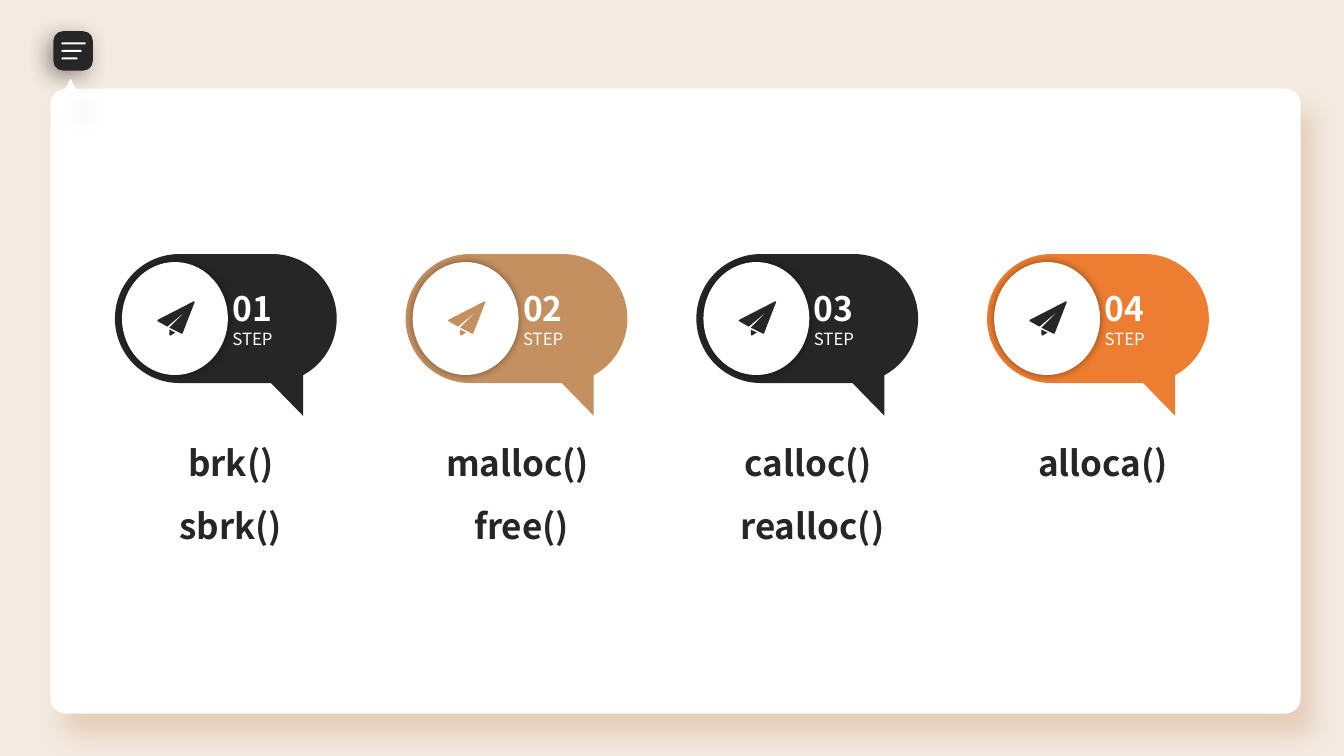
from lxml import etree
from pptx import Presentation
from pptx.dml.color import RGBColor
from pptx.enum.shapes import MSO_SHAPE
from pptx.enum.text import MSO_ANCHOR, PP_ALIGN
from pptx.oxml.ns import qn
from pptx.util import Inches, Pt

ROUNDED, OVAL = MSO_SHAPE.ROUNDED_RECTANGLE, MSO_SHAPE.OVAL
TRIANGLE, RIGHT_TRIANGLE = MSO_SHAPE.ISOSCELES_TRIANGLE, MSO_SHAPE.RIGHT_TRIANGLE
MIDDLE, LEFT, CENTER = MSO_ANCHOR.MIDDLE, PP_ALIGN.LEFT, PP_ALIGN.CENTER

CREAM = RGBColor(0xF4, 0xEA, 0xE1)
WHITE = RGBColor(0xFF, 0xFF, 0xFF)
DARK = RGBColor(0x26, 0x26, 0x26)
TAN = RGBColor(0xC4, 0x90, 0x60)
ORANGE = RGBColor(0xED, 0x7D, 0x31)
SAND = RGBColor(0xE1, 0xC6, 0xAD)
BLACK = RGBColor(0, 0, 0)

FONT = "Noto Sans CJK KR"
NUMBER_FORMAT = {"name": FONT, "size": Pt(24), "bold": True}
STEP_FORMAT = {"name": FONT, "size": Pt(12), "bold": False}
CALL_FORMAT = {"name": FONT, "size": Pt(25), "bold": True}

SLIDE_WIDTH, SLIDE_HEIGHT = 13.33, 7.5
FIRST_COLUMN, BUBBLE_TOP = 1.14, 2.52
COLUMN_PITCH = 8.65 / 3

PLANE_UNIT = Inches(0.01)
PLANE_BODY = [(36, 0), (37, 0), (37, 1), (25, 32), (24, 32), (12, 26),
              (29, 9), (10, 25), (1, 20), (0, 19), (1, 18)]
PLANE_TAIL = [(12, 28), (18, 31), (13, 34), (12, 33)]

STEPS = [
    ("01", DARK, DARK, ["brk()", "sbrk()"]),
    ("02", TAN, TAN, ["malloc() ", "free()"]),
    ("03", DARK, DARK, ["calloc() ", "realloc()"]),
    ("04", ORANGE, DARK, ["alloca()"]),
]


def paint(shape, color):
    """Give a shape a plain fill without outline or shadow."""
    shape.shadow.inherit = False
    shape.fill.solid()
    shape.fill.fore_color.rgb = color
    shape.line.fill.background()
    return shape


def add_block(shapes, kind, box, color, rounding=None):
    """Add a painted preset shape at a box given in inches."""
    shape = shapes.add_shape(kind, *map(Inches, box))
    if rounding is not None:
        shape.adjustments[0] = rounding
    return paint(shape, color)


def cast_shadow(shape, color, opacity, blur, distance, angle):
    """Add an outer shadow, with opacity in percent and angle in degrees."""
    effects = shape._element.spPr.find(qn("a:effectLst"))
    shadow = etree.SubElement(effects, qn("a:outerShdw"), {
        "blurRad": str(Pt(blur)), "dist": str(Pt(distance)),
        "dir": str(angle * 60000), "algn": "ctr", "rotWithShape": "0"})
    tint = etree.SubElement(shadow, qn("a:srgbClr"), val=str(color))
    etree.SubElement(tint, qn("a:alpha"), val=str(opacity * 1000))


def write_line(paragraph, text, color, text_format, alignment):
    """Write one formatted run into a paragraph."""
    paragraph.alignment = alignment
    run = paragraph.add_run()
    run.text = text
    run.font.color.rgb = color
    for name, value in text_format.items():
        setattr(run.font, name, value)


def next_paragraph(frame, index):
    """Return the first paragraph, or a new one after it."""
    return frame.add_paragraph() if index else frame.paragraphs[0]


def add_outline(shapes, points, left, top, color):
    """Draw a closed outline from points in plane units."""
    builder = shapes.build_freeform(*points[0], scale=PLANE_UNIT)
    builder.add_line_segments(points[1:], close=True)
    paint(builder.convert_to_shape(Inches(left), Inches(top)), color)


def add_frame(slide):
    """Add the white card with its menu button and pointer."""
    shapes = slide.shapes.add_group_shape().shapes
    card = add_block(shapes, ROUNDED, (0.5, 0.88, 12.4, 6.2), WHITE, 0.025)
    cast_shadow(card, SAND, 75, 16, 19, 60)
    button = add_block(shapes, ROUNDED, (0.53, 0.31, 0.39, 0.39), DARK, 0.24)
    cast_shadow(button, BLACK, 40, 16, 6, 135)
    for row, width in enumerate((0.24, 0.2, 0.16)):
        bar_top = 0.42 + row * 0.075
        add_block(shapes, ROUNDED, (0.61, bar_top, width, 0.02), WHITE, 0.5)
    pointer = add_block(shapes, TRIANGLE, (0.62, 0.78, 0.16, 0.15), WHITE)
    cast_shadow(pointer, BLACK, 11, 16, 19, 60)


def add_bubble(slide, left, number, color, plane_color):
    """Add a numbered speech bubble with a paper plane on a disc."""
    shapes = slide.shapes.add_group_shape().shapes
    bubble = add_block(shapes, ROUNDED, (left, BUBBLE_TOP, 2.2, 1.28), color, 0.5)
    frame = bubble.text_frame
    frame.vertical_anchor = MIDDLE
    lines = [(number, NUMBER_FORMAT), ("STEP", STEP_FORMAT)]
    for index, (text, text_format) in enumerate(lines):
        paragraph = next_paragraph(frame, index)
        write_line(paragraph, text, WHITE, text_format, LEFT)
        paragraph.level = 2
        properties = paragraph._p.get_or_add_pPr()
        properties.set("marL", str(Inches(0.88)))
        properties.set("indent", "0")
    disc = add_block(shapes, OVAL, (left + 0.07, BUBBLE_TOP + 0.08, 1.05, 1.12), WHITE)
    cast_shadow(disc, BLACK, 40, 6, 0, 0)
    for points in (PLANE_TAIL, PLANE_BODY):
        add_outline(shapes, points, left + 0.42, BUBBLE_TOP + 0.47, plane_color)
    tail_box = (left + 1.45, BUBBLE_TOP + 1.19, 0.42, 0.41)
    tail = add_block(shapes, RIGHT_TRIANGLE, tail_box, color)
    tail.rotation = 270
    tail._element.spPr.xfrm.set("flipH", "1")


def add_calls(slide, left, calls):
    """List the function names below a bubble."""
    box = (left - 0.3, BUBBLE_TOP + 1.6, 2.9, 0.64 * len(calls))
    frame = slide.shapes.add_textbox(*map(Inches, box)).text_frame
    frame.word_wrap = True
    for index, call in enumerate(calls):
        paragraph = next_paragraph(frame, index)
        paragraph.line_spacing = 1.5
        write_line(paragraph, call, DARK, CALL_FORMAT, CENTER)


def main():
    """Build the slide and save it."""
    presentation = Presentation()
    presentation.slide_width = Inches(SLIDE_WIDTH)
    presentation.slide_height = Inches(SLIDE_HEIGHT)
    slide = presentation.slides.add_slide(presentation.slide_layouts[6])
    slide.background.fill.solid()
    slide.background.fill.fore_color.rgb = CREAM
    add_frame(slide)
    for column, (number, color, plane_color, calls) in enumerate(STEPS):
        left = FIRST_COLUMN + column * COLUMN_PITCH
        add_bubble(slide, left, number, color, plane_color)
        add_calls(slide, left, calls)
    presentation.save("out.pptx")


if __name__ == "__main__":
    main()
